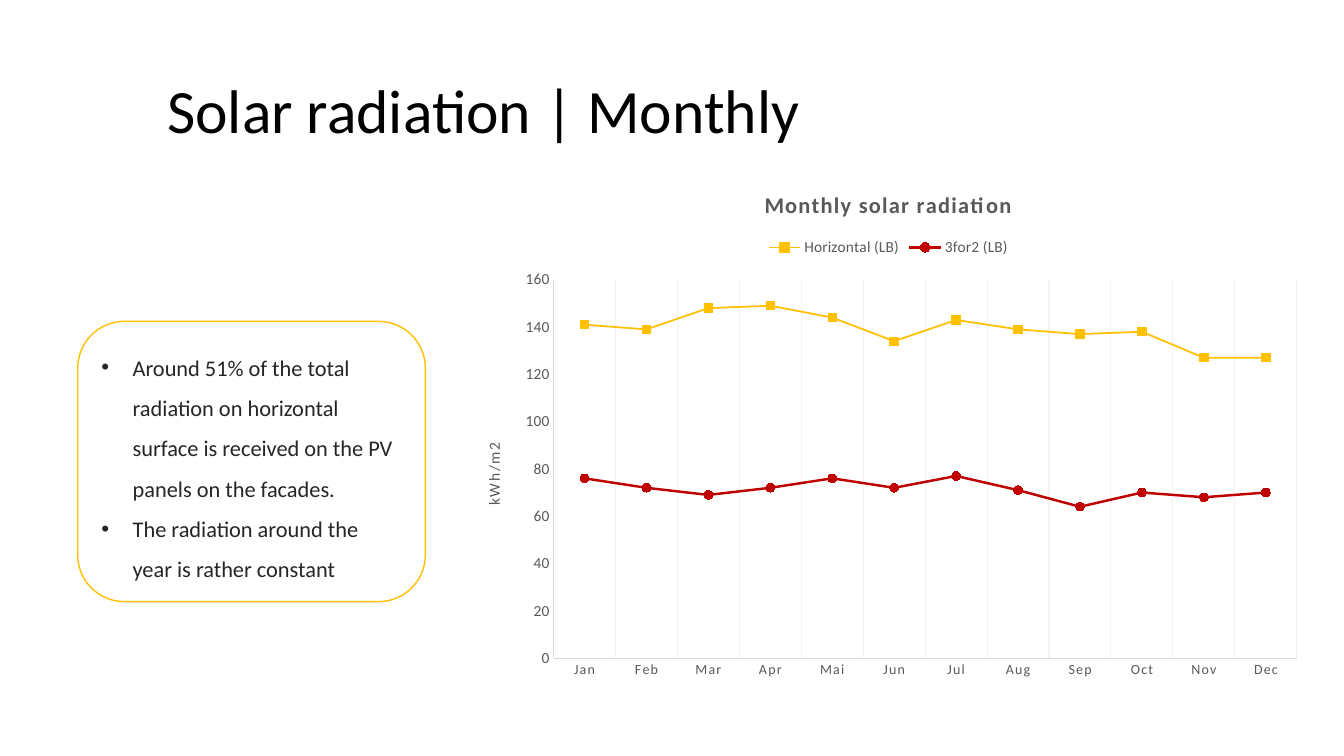
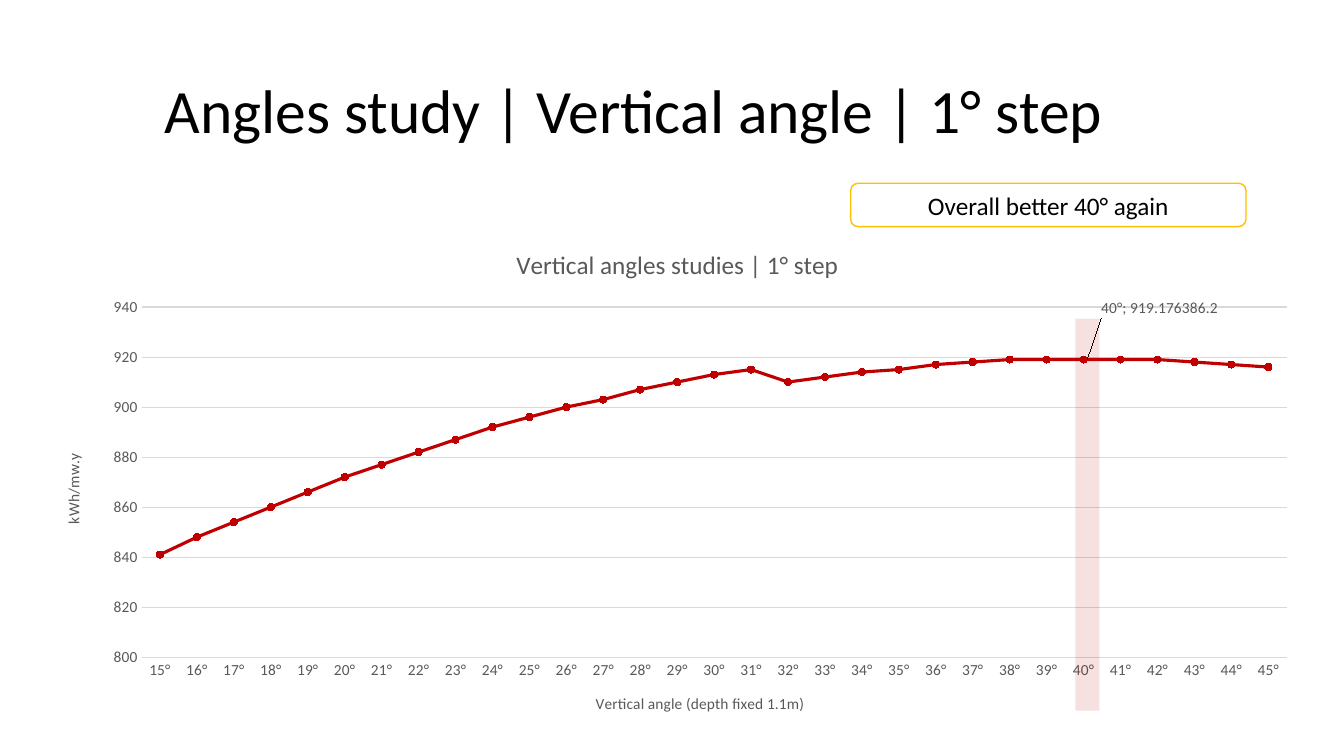
from dataclasses import dataclass
from typing import Optional

from lxml.etree import SubElement
from pptx import Presentation
from pptx.chart.data import CategoryChartData
from pptx.dml.color import RGBColor
from pptx.enum.chart import (XL_CHART_TYPE, XL_LABEL_POSITION, XL_LEGEND_POSITION,
                             XL_MARKER_STYLE, XL_TICK_MARK)
from pptx.enum.shapes import MSO_SHAPE
from pptx.enum.text import MSO_ANCHOR, MSO_AUTO_SIZE, PP_ALIGN
from pptx.oxml import parse_xml
from pptx.oxml.ns import nsdecls, qn
from pptx.util import Cm, Pt


# Theme and descriptions
@dataclass(frozen=True)
class Theme:
    font: str = "Calibri"
    black: str = "000000"
    body: str = "262626"
    label: str = "595959"
    axis: str = "D9D9D9"
    faint: str = "F2F2F2"
    white: str = "FFFFFF"
    gold: str = "FFC000"
    red: str = "C00000"
    title_size: int = 44
    note_size: int = 18
    list_size: int = 16
    axis_size: int = 11
    small_size: int = 10


THEME = Theme()


@dataclass(frozen=True)
class Box:
    left: float
    top: float
    width: float
    height: float

    def lengths(self):
        return Cm(self.left), Cm(self.top), Cm(self.width), Cm(self.height)


@dataclass(frozen=True)
class Line:
    name: str
    values: tuple
    color: str
    width: float
    marker: XL_MARKER_STYLE
    marker_size: int


@dataclass(frozen=True)
class LineChart:
    box: Box
    plot: tuple  # inner plot area as fractions of the chart: x, y, width, height
    title: str
    title_size: int
    title_bold: bool
    title_spacing: int
    categories: tuple
    lines: tuple
    minimum: int
    maximum: int
    value_title: str
    category_title: Optional[str] = None
    category_size: int = THEME.axis_size
    category_spacing: int = 0
    vertical_grid: bool = False
    legend: bool = False


def rgb(color: str) -> RGBColor:
    return RGBColor.from_string(color)


# Text
def style_font(font, size=THEME.axis_size, color=THEME.label, bold=False, spacing=0):
    font.name = THEME.font
    font.size = Pt(size)
    font.bold = bold
    font.color.rgb = rgb(color)
    if spacing:
        font._rPr.set("spc", str(spacing))


def write_text(frame, *texts, align=None, line_spacing=None, bullet=False, **font_format):
    for index, text in enumerate(texts):
        paragraph = frame.paragraphs[0] if index == 0 else frame.add_paragraph()
        if bullet:
            properties = paragraph._p.get_or_add_pPr()
            properties.set("marL", str(Cm(0.79)))
            properties.set("indent", str(-Cm(0.79)))
            SubElement(properties, qn("a:buFont")).set("typeface", "Arial")
            SubElement(properties, qn("a:buChar")).set("char", "•")
        if align is not None:
            paragraph.alignment = align
        if line_spacing:
            paragraph.line_spacing = line_spacing
            paragraph.space_before = Pt(0)
        run = paragraph.add_run()
        run.text = text
        style_font(run.font, **font_format)


def prepare_frame(frame):
    frame.word_wrap = True
    frame.auto_size = MSO_AUTO_SIZE.NONE
    frame.vertical_anchor = MSO_ANCHOR.MIDDLE


def place(shape, box: Box):
    shape.left, shape.top, shape.width, shape.height = box.lengths()


def add_titled_slide(presentation, layout_index: int, title: str, box: Box):
    slide = presentation.slides.add_slide(presentation.slide_layouts[layout_index])
    place(slide.shapes.title, box)
    prepare_frame(slide.shapes.title.text_frame)
    write_text(slide.shapes.title.text_frame, title, align=PP_ALIGN.LEFT,
               line_spacing=0.9, size=THEME.title_size, color=THEME.black)
    return slide


# Shapes
def add_panel(slide, kind, box: Box, fill: str, outline: Optional[str] = None):
    shape = slide.shapes.add_shape(kind, *box.lengths())
    shape.shadow.inherit = False
    shape.fill.solid()
    shape.fill.fore_color.rgb = rgb(fill)
    if outline:
        shape.line.color.rgb = rgb(outline)
        shape.line.width = Pt(1)
    else:
        shape.line.fill.background()
    return shape


# Charts
def set_line(line_format, color: str, width: float = 0.75):
    line_format.color.rgb = rgb(color)
    line_format.width = Pt(width)


def set_plot_layout(chart, fractions: tuple):
    plot_area = chart._chartSpace.chart.plotArea
    for old_layout in plot_area.findall(qn("c:layout")):
        plot_area.remove(old_layout)
    sizes = "".join(f'<c:{name} val="{value}"/>' for name, value in zip("xywh", fractions))
    plot_area.insert(0, parse_xml(
        f'<c:layout {nsdecls("c")}><c:manualLayout><c:layoutTarget val="inner"/>'
        f'<c:xMode val="edge"/><c:yMode val="edge"/>{sizes}</c:manualLayout></c:layout>'))


def format_axes(chart, design: LineChart):
    category_axis, value_axis = chart.category_axis, chart.value_axis
    for axis in (category_axis, value_axis):
        axis.major_tick_mark = axis.minor_tick_mark = XL_TICK_MARK.NONE
        set_line(axis.format.line, THEME.axis)
    style_font(category_axis.tick_labels.font, size=design.category_size,
               spacing=design.category_spacing)
    style_font(value_axis.tick_labels.font)
    category_axis.has_major_gridlines = design.vertical_grid
    value_axis.has_major_gridlines = not design.vertical_grid
    if design.vertical_grid:
        set_line(category_axis.major_gridlines.format.line, THEME.faint)
    else:
        set_line(value_axis.major_gridlines.format.line, THEME.axis)
        value_axis.format.line.fill.background()
    value_axis.minimum_scale, value_axis.maximum_scale = design.minimum, design.maximum
    value_axis.major_unit = 20
    value_axis.tick_labels.number_format = "0"
    value_axis.tick_labels.number_format_is_linked = False
    value_frame = value_axis.axis_title.text_frame
    write_text(value_frame, design.value_title, spacing=design.category_spacing)
    value_frame._txBody.bodyPr.set("rot", "-5400000")
    value_frame._txBody.bodyPr.set("vert", "horz")
    if design.category_title:
        write_text(category_axis.axis_title.text_frame, design.category_title)


def add_line_chart(slide, design: LineChart):
    data = CategoryChartData(number_format="0")
    data.categories = design.categories
    for line in design.lines:
        data.add_series(line.name, line.values)
    chart = slide.shapes.add_chart(XL_CHART_TYPE.LINE_MARKERS, *design.box.lengths(), data).chart
    style_font(chart.font, size=THEME.small_size, color=THEME.black)
    chart.plots[0].vary_by_categories = False
    chart.has_title = True
    write_text(chart.chart_title.text_frame, design.title, size=design.title_size,
               bold=design.title_bold, spacing=design.title_spacing)
    chart.chart_title.include_in_layout = False
    chart.has_legend = design.legend
    if design.legend:
        chart.legend.position = XL_LEGEND_POSITION.TOP
        chart.legend.include_in_layout = False
        style_font(chart.legend.font)
    format_axes(chart, design)
    for series, line in zip(chart.plots[0].series, design.lines):
        series.smooth = False
        set_line(series.format.line, line.color, line.width)
        series.marker.style = line.marker
        series.marker.size = line.marker_size
        series.marker.format.fill.solid()
        series.marker.format.fill.fore_color.rgb = rgb(line.color)
        set_line(series.marker.format.line, line.color)
    set_plot_layout(chart, design.plot)
    return chart


def add_callout_label(series, point_index: int, text: str, shift: tuple):
    label = series.points[point_index].data_label
    write_text(label.text_frame, text)
    label.position = XL_LABEL_POSITION.RIGHT
    series.data_labels.show_value = False
    label_element = series._element.xpath(".//c:dLbl")[0]
    for old_layout in label_element.findall(qn("c:layout")):
        label_element.remove(old_layout)
    label_element.insert(1, parse_xml(
        f'<c:layout {nsdecls("c")}><c:manualLayout><c:x val="{shift[0]}"/>'
        f'<c:y val="{shift[1]}"/></c:manualLayout></c:layout>'))
    # Leader line from the point to its label
    label_element.getparent().append(parse_xml(
        f'<c:extLst {nsdecls("c")}><c:ext uri="{{CE6537A1-D6FC-4f65-9D91-7224C49458BB}}" '
        'xmlns:c15="http://schemas.microsoft.com/office/drawing/2012/chart">'
        '<c15:showLeaderLines val="1"/></c:ext></c:extLst>'))


# Slides
def build_monthly_slide(presentation):
    slide = add_titled_slide(presentation, 1, "Solar radiation | Monthly",
                             Box(3.96, 1.02, 27.58, 3.68))
    add_line_chart(slide, LineChart(
        box=Box(11.68, 4.29, 21.41, 13.08), plot=(0.106, 0.211, 0.875, 0.729),
        title="Monthly solar radiation", title_size=16, title_bold=True, title_spacing=100,
        categories=tuple("Jan Feb Mar Apr Mai Jun Jul Aug Sep Oct Nov Dec".split()),
        lines=(
            Line("Horizontal (LB)", (141, 139, 148, 149, 144, 134, 143, 139, 137, 138, 127, 127),
                 THEME.gold, 1.25, XL_MARKER_STYLE.SQUARE, 6),
            Line("3for2 (LB)", (76, 72, 69, 72, 76, 72, 77, 71, 64, 70, 68, 70),
                 THEME.red, 1.75, XL_MARKER_STYLE.CIRCLE, 6)),
        minimum=0, maximum=160, value_title="kWh/m2", category_size=THEME.small_size,
        category_spacing=100, vertical_grid=True, legend=True))
    findings = slide.placeholders[1]
    place(findings, Box(2.3, 8.45, 8.07, 6.35))
    prepare_frame(findings.text_frame)
    write_text(findings.text_frame,
               "Around 51% of the total radiation on horizontal surface is received "
               "on the PV panels on the facades.",
               "The radiation around the year is rather constant",
               bullet=True, line_spacing=1.5, size=THEME.list_size, color=THEME.body)
    frame = add_panel(slide, MSO_SHAPE.ROUNDED_RECTANGLE, Box(1.96, 8.1, 8.76, 7.06),
                      THEME.white, THEME.gold)
    findings._element.addprevious(frame._element)


def build_angles_slide(presentation):
    slide = add_titled_slide(presentation, 5, "Angles study | Vertical angle | 1° step",
                             Box(3.89, 1.02, 28.7, 3.68))
    badge = add_panel(slide, MSO_SHAPE.ROUNDED_RECTANGLE, Box(21.44, 4.62, 9.96, 1.09),
                      THEME.white, THEME.gold)
    prepare_frame(badge.text_frame)
    write_text(badge.text_frame, "Overall better 40° again", align=PP_ALIGN.CENTER,
               size=THEME.note_size, color=THEME.black)
    yields = (841, 848, 854, 860, 866, 872, 877, 882, 887, 892, 896, 900, 903, 907, 910, 913,
              915, 910, 912, 914, 915, 917, 918, 919, 919, 919, 919, 919, 918, 917, 916)
    angles = range(15, 46)
    chart = add_line_chart(slide, LineChart(
        box=Box(1.07, 5.72, 32, 12.85), plot=(0.078, 0.157, 0.902, 0.687),
        title="Vertical angles studies | 1° step", title_size=THEME.note_size,
        title_bold=False, title_spacing=0,
        categories=tuple(f"{angle}°" for angle in angles),
        lines=(Line("Series 1", yields, THEME.red, 2.25, XL_MARKER_STYLE.CIRCLE, 5),),
        minimum=800, maximum=940, value_title="kWh/mw.y",
        category_title="Vertical angle (depth fixed 1.1m)"))
    add_callout_label(chart.plots[0].series[0], angles.index(40), "40°; 919.176386.2",
                      (0.008, -0.1))
    # Translucent band over the best angle
    band = add_panel(slide, MSO_SHAPE.RECTANGLE, Box(27.1, 8.03, 0.61, 9.88), THEME.red)
    color = band._element.spPr.find(qn("a:solidFill")).find(qn("a:srgbClr"))
    SubElement(color, qn("a:alpha")).set("val", "12000")


def main():
    presentation = Presentation()
    presentation.slide_width, presentation.slide_height = Cm(33.87), Cm(19.05)
    build_monthly_slide(presentation)
    build_angles_slide(presentation)
    presentation.save("out.pptx")


if __name__ == "__main__":
    main()
